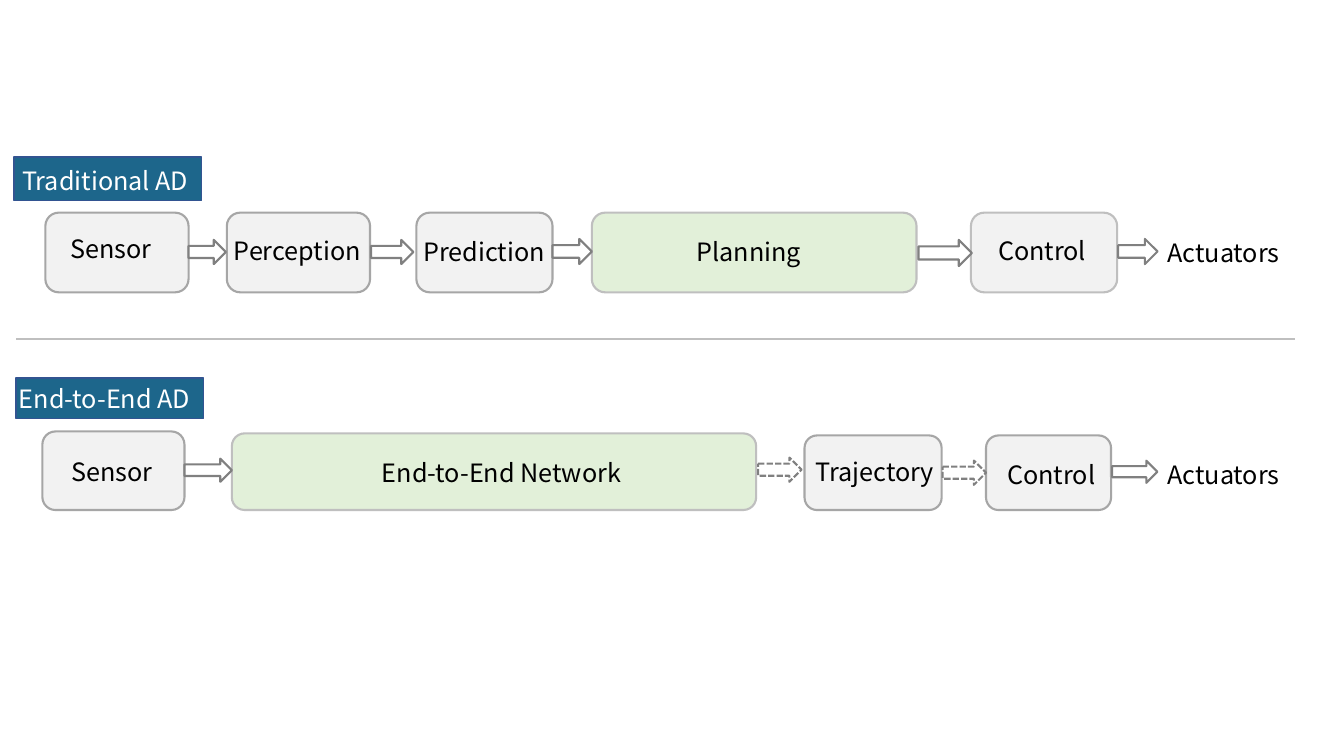
import pptx
import pptx.util
import pptx.dml.color
import pptx.enum.dml
import pptx.enum.shapes
import pptx.enum.text
import pptx.oxml.ns
import lxml.etree

Inches = pptx.util.Inches
Pt = pptx.util.Pt
SHAPE = pptx.enum.shapes.MSO_SHAPE

COLORS = {
    "white": "FFFFFF",
    "black": "000000",
    "tag": "1D668B",
    "tag_line": "325491",
    "gray": "F2F2F2",
    "green": "E2F0D9",
    "box_line": "A6A6A6",
    "light_line": "BFBFBF",
    "arrow_line": "808080",
}


class Deck:
    font = "Noto Sans CJK SC"
    size = 18
    line_width = 1.5

    def __init__(self, slide):
        self.s = slide

    def color(self, name):
        return pptx.dml.color.RGBColor.from_string(COLORS[name])

    def shape(self, kind, box, fill, line, width=line_width):
        sp = self.s.shapes.add_shape(kind, *map(Inches, box))
        sp.shadow.inherit = False
        sp.fill.solid()
        sp.fill.fore_color.rgb = self.color(fill)
        sp.line.color.rgb = self.color(line)
        sp.line.width = Pt(width)
        return sp

    def label(self, text, x, y, w, color="black"):
        sp = self.s.shapes.add_textbox(*map(Inches, (x, y, w, 0.4)))
        tf = sp.text_frame
        tf.word_wrap = True
        tf.auto_size = pptx.enum.text.MSO_AUTO_SIZE.SHAPE_TO_FIT_TEXT
        r = tf.paragraphs[0].add_run()
        r.text = text
        r.font.name = self.font
        r.font.size = Pt(self.size)
        r.font.color.rgb = self.color(color)

    def tag(self, box, text, x, y, w):
        self.shape(SHAPE.RECTANGLE, box, "tag", "tag_line", 1)
        self.label(text, x, y, w, "white")

    def stage(self, box, fill="gray", line="box_line"):
        self.shape(SHAPE.ROUNDED_RECTANGLE, box, fill, line)

    def arrow(self, box, dashed=False):
        sp = self.shape(SHAPE.RIGHT_ARROW, box, "white", "arrow_line")
        if dashed:
            sp.line.dash_style = pptx.enum.dml.MSO_LINE.SQUARE_DOT
            dash = sp.line._ln.find(pptx.oxml.ns.qn("a:prstDash"))
            dash.set("val", "sysDash")

    def divider(self, x1, x2, y):
        c = self.s.shapes.add_connector(
            pptx.enum.shapes.MSO_CONNECTOR.STRAIGHT,
            Inches(x1), Inches(y), Inches(x2), Inches(y))
        c.line.color.rgb = self.color("light_line")
        c.line.width = Pt(self.line_width)
        lxml.etree.SubElement(
            c._element.spPr, pptx.oxml.ns.qn("a:effectLst"))

    def pipeline(self, stages, arrows, labels):
        for x, y, w, h, *style in stages:
            self.stage((x, y, w, h), *style)
        for x, y, w, h, *dashed in arrows:
            self.arrow((x, y, w, h), *dashed)
        for text, x, y, w in labels:
            self.label(text, x, y, w)


prs = pptx.Presentation()
prs.slide_width = Inches(13.33)
prs.slide_height = Inches(7.5)
deck = Deck(prs.slides.add_slide(prs.slide_layouts[6]))

deck.divider(0.16, 12.84, 3.36)

deck.tag((0.14, 1.56, 1.86, 0.43), "Traditional AD", 0.12, 1.59, 2.11)
top, height = 2.11, 0.79
deck.pipeline(
    stages=[
        (0.45, top, 1.42, height),
        (2.25, top, 1.42, height),
        (4.13, top, 1.35, height),
        (5.87, top, 3.22, height, "green", "light_line"),
        (9.63, top, 1.45, height, "gray", "light_line"),
    ],
    arrows=[
        (1.87, 2.38, 0.37, 0.24),
        (3.68, 2.38, 0.42, 0.24),
        (5.48, 2.37, 0.39, 0.25),
        (9.11, 2.38, 0.53, 0.26),
        (11.09, 2.37, 0.39, 0.25),
    ],
    labels=[
        ("Sensor", 0.6, 2.27, 1.27),
        ("Perception", 2.22, 2.29, 1.68),
        ("Prediction", 4.1, 2.3, 1.57),
        ("Planning", 6.81, 2.3, 1.45),
        ("Control", 9.8, 2.29, 1.45),
        ("Actuators", 11.48, 2.31, 1.56),
    ],
)

deck.tag((0.16, 3.75, 1.86, 0.4), "End-to-End AD", 0.09, 3.75, 2.04)
deck.pipeline(
    stages=[
        (0.42, 4.28, 1.41, 0.78),
        (2.3, 4.3, 5.2, 0.76, "green", "light_line"),
        (7.98, 4.32, 1.36, 0.74),
        (9.78, 4.32, 1.24, 0.74),
    ],
    arrows=[
        (1.83, 4.55, 0.47, 0.23),
        (7.52, 4.54, 0.43, 0.24, True),
        (9.35, 4.57, 0.43, 0.24, True),
        (11.03, 4.57, 0.45, 0.22),
    ],
    labels=[
        ("Sensor", 0.61, 4.48, 1.15),
        ("End-to-End Network", 3.69, 4.49, 2.89),
        ("Trajectory", 7.99, 4.48, 1.41),
        ("Control", 9.89, 4.51, 1.1),
        ("Actuators", 11.48, 4.51, 1.36),
    ],
)

prs.save("out.pptx")
